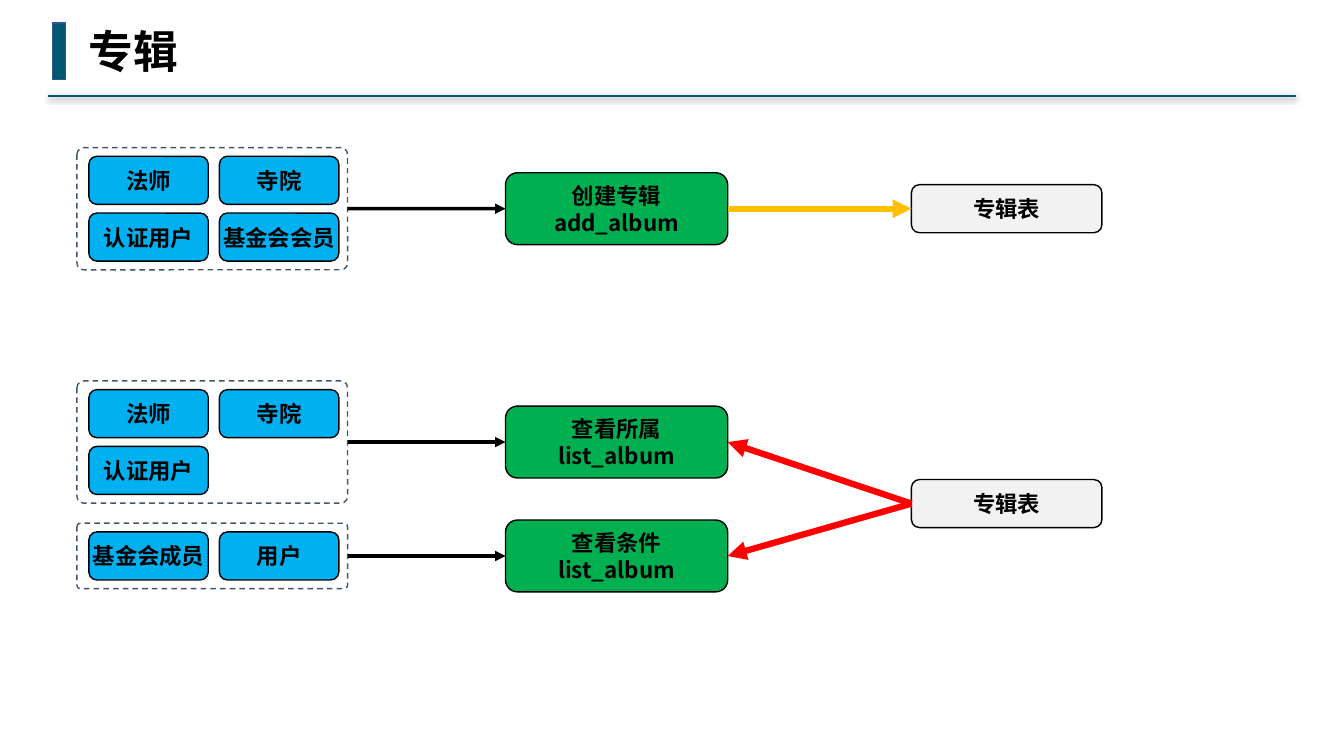
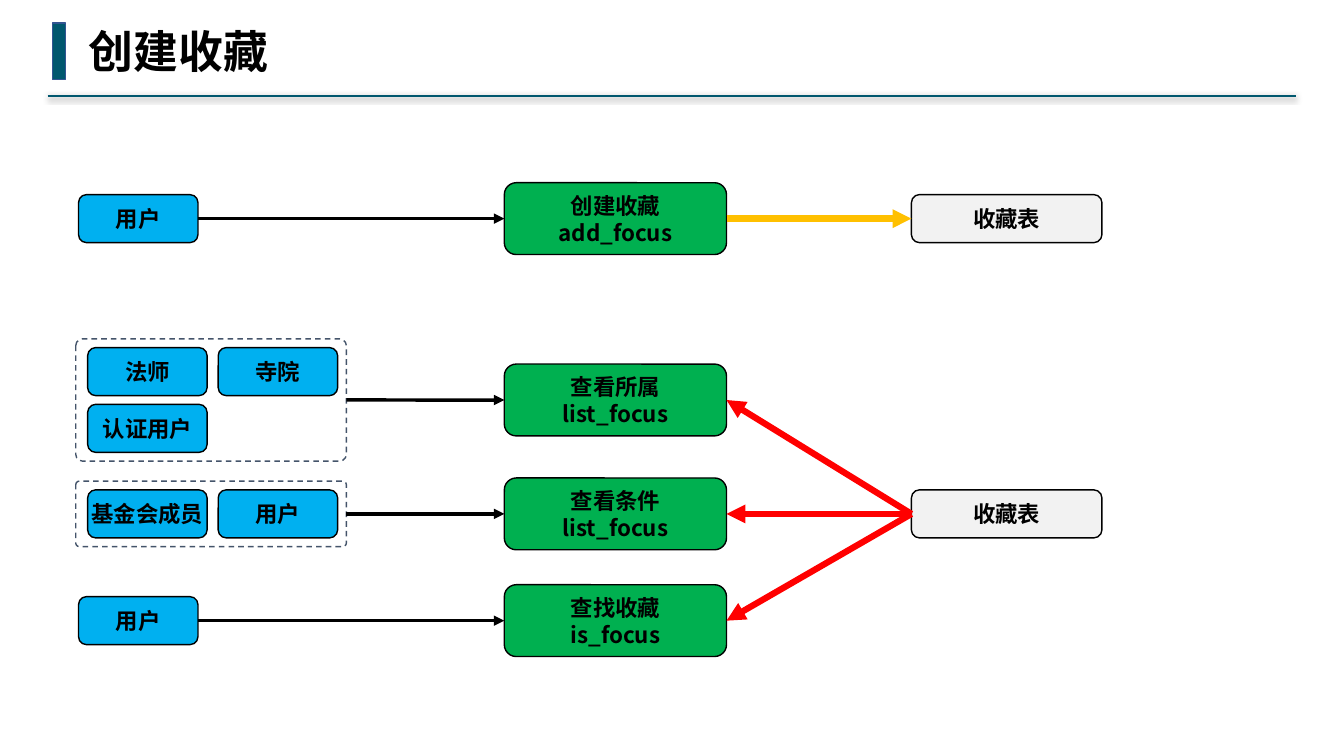
"""Build the two flow slides about albums and favourites."""
from dataclasses import dataclass

from lxml.etree import SubElement
from pptx import Presentation
from pptx.dml.color import RGBColor
from pptx.enum.dml import MSO_LINE
from pptx.enum.shapes import MSO_CONNECTOR, MSO_SHAPE
from pptx.enum.text import MSO_ANCHOR, MSO_AUTO_SIZE, PP_ALIGN
from pptx.oxml import parse_xml
from pptx.oxml.ns import nsdecls, qn
from pptx.shapes.autoshape import Shape
from pptx.shapes.connector import Connector
from pptx.slide import Slide
from pptx.text.text import TextFrame
from pptx.util import Cm, Pt

TEAL, NAVY, SLATE, BLACK = "00576E", "325491", "44546A", "000000"
BLUE, GREEN, GREY = "00B0F0", "00B050", "F2F2F2"
AMBER, RED = "FFC000", "FF0000"
FONT, TITLE_FONT = "Noto Sans CJK SC", "Noto Sans Mono"

USER_W, USER_H = 3.01, 1.21
COLUMN_STEP, ROW_STEP = 3.29, 1.43
FRAME_W, PAD_X, PAD_Y = 6.82, 0.3, 0.22
ACTION_DX, ACTION_W, ACTION_H = 10.8, 5.6, 1.81
TABLE_X, TABLE_W = 22.97, 4.8
LONE_USER_X = 1.98
LEFT_SITE, RIGHT_SITE = 1, 3


@dataclass(frozen=True)
class Flow:
    """Users who call one action, centred on height y in centimetres."""

    y: float
    users: tuple[str, ...]
    action: str


@dataclass(frozen=True)
class Page:
    """A slide with one creating flow and several viewing flows."""

    title: str
    left: float
    table: str
    create: Flow
    views: tuple[Flow, ...]
    view_table_y: float


PAGES = (
    Page("专辑", 1.94, "专辑表",
         Flow(5.26, ("法师", "寺院", "认证用户", "基金会会员"), "创建专辑\nadd_album"),
         (Flow(11.14, ("法师", "寺院", "认证用户"), "查看所属\nlist_album"),
          Flow(14.01, ("基金会成员", "用户"), "查看条件\nlist_album")),
         12.69),
    Page("创建收藏", 1.91, "收藏表",
         Flow(5.51, ("用户",), "创建收藏\nadd_focus"),
         (Flow(10.08, ("法师", "寺院", "认证用户"), "查看所属\nlist_focus"),
          Flow(12.95, ("基金会成员", "用户"), "查看条件\nlist_focus"),
          Flow(15.64, ("用户",), "查找收藏\nis_focus")),
         12.95),
)


def rgb(color: str) -> RGBColor:
    """Turn a hex string into a colour."""
    return RGBColor.from_string(color)


def format_text(tf: TextFrame, size: float, font: str, align: PP_ALIGN) -> None:
    """Give all text of a frame one bold style."""
    tf.word_wrap = False
    for p in tf.paragraphs:
        p.alignment = align
        for r in p.runs:
            r.font.size, r.font.bold, r.font.name = Pt(size), True, font
            r.font.color.rgb = rgb(BLACK)
            SubElement(r.font._element, qn("a:ea"), typeface=FONT)


def add_box(shapes, kind: MSO_SHAPE, x: float, y: float, w: float, h: float,
            fill: str | None, line: str) -> Shape:
    """Add a flat shape with a thin outline."""
    sp = shapes.add_shape(kind, Cm(x), Cm(y), Cm(w), Cm(h))
    sp.shadow.inherit = False
    if fill:
        sp.fill.solid()
        sp.fill.fore_color.rgb = rgb(fill)
    else:
        sp.fill.background()
    sp.line.color.rgb = rgb(line)
    sp.line.width = Pt(1)
    return sp


def add_node(shapes, text: str, x: float, middle: float, w: float,
             h: float, fill: str) -> Shape:
    """Add a rounded, labelled box centred on a height."""
    sp = add_box(shapes, MSO_SHAPE.ROUNDED_RECTANGLE, x, middle - h / 2, w, h,
                 fill, BLACK)
    tf = sp.text_frame
    tf.text = text
    tf.vertical_anchor = MSO_ANCHOR.MIDDLE
    tf.margin_left = tf.margin_right = tf.margin_top = tf.margin_bottom = Cm(0.1)
    format_text(tf, 16, FONT, PP_ALIGN.CENTER)
    return sp


def add_line(s: Slide, x1: float, y1: float, x2: float, y2: float,
             color: str, width: float) -> Connector:
    """Add a straight line without effects."""
    line = s.shapes.add_connector(MSO_CONNECTOR.STRAIGHT,
                                  Cm(x1), Cm(y1), Cm(x2), Cm(y2))
    line.line.color.rgb = rgb(color)
    line.line.width = Pt(width)
    SubElement(line._element.spPr, qn("a:effectLst"))
    return line


def add_arrow(s: Slide, start: Shape, start_site: int, end: Shape,
              end_site: int, color: str, width: float) -> None:
    """Join two shapes with an arrow."""
    arrow = add_line(s, 0, 0, 1, 1, color, width)
    arrow.begin_connect(start, start_site)
    arrow.end_connect(end, end_site)
    SubElement(arrow.line._get_or_add_ln(), qn("a:tailEnd"), type="triangle")


def add_header(s: Slide, title: str) -> None:
    """Add the title, its bar and the shadowed rule."""
    rule = add_line(s, 1.2, 2.42, 32.66, 2.42, TEAL, 1.5)
    rule._element.spPr.find(qn("a:effectLst")).append(parse_xml(
        f'<a:outerShdw {nsdecls("a")} blurRad="50800" dist="12700" dir="5400000" '
        'rotWithShape="0"><a:srgbClr val="000000"><a:alpha val="40000"/>'
        '</a:srgbClr></a:outerShdw>'))
    add_box(s.shapes, MSO_SHAPE.RECTANGLE, 1.32, 0.58, 0.33, 1.43, TEAL, NAVY)
    sp = s.shapes.title
    sp.left, sp.top = Cm(1.98), Cm(0.48)
    sp.width, sp.height = Cm(0.51 + 1.13 * len(title)), Cm(1.63)
    tf = sp.text_frame
    tf.text = title
    tf.vertical_anchor = MSO_ANCHOR.TOP
    tf.auto_size = MSO_AUTO_SIZE.SHAPE_TO_FIT_TEXT
    format_text(tf, 32, TITLE_FONT, PP_ALIGN.LEFT)


def add_users(s: Slide, flow: Flow, left: float) -> Shape:
    """Add one user, or a dashed frame of users in two columns."""
    if len(flow.users) == 1:
        return add_node(s.shapes, flow.users[0], LONE_USER_X, flow.y,
                        USER_W, USER_H, BLUE)
    rows = (len(flow.users) + 1) // 2
    height = 2 * PAD_Y + USER_H + (rows - 1) * ROW_STEP
    top = flow.y - height / 2
    shapes = s.shapes.add_group_shape().shapes
    for i, user in enumerate(flow.users):
        row, column = divmod(i, 2)
        add_node(shapes, user, left + PAD_X + column * COLUMN_STEP,
                 top + PAD_Y + USER_H / 2 + row * ROW_STEP, USER_W, USER_H, BLUE)
    frame = add_box(shapes, MSO_SHAPE.ROUNDED_RECTANGLE, left, top, FRAME_W,
                    height, None, SLATE)
    frame.adjustments[0] = 0.055
    frame.line.dash_style = MSO_LINE.DASH
    return frame


def add_flow(s: Slide, flow: Flow, left: float) -> Shape:
    """Add users with an arrow to their action and return the action."""
    users = add_users(s, flow, left)
    action = add_node(s.shapes, flow.action, left + ACTION_DX, flow.y,
                      ACTION_W, ACTION_H, GREEN)
    add_arrow(s, users, RIGHT_SITE, action, LEFT_SITE, BLACK, 2.5)
    return action


def add_table_node(s: Slide, name: str, y: float) -> Shape:
    """Add the box of a database table."""
    return add_node(s.shapes, name, TABLE_X, y, TABLE_W, USER_H, GREY)


def add_page(prs: Presentation, page: Page) -> None:
    """Add one whole slide."""
    s = prs.slides.add_slide(prs.slide_layouts[5])
    add_header(s, page.title)
    action = add_flow(s, page.create, page.left)
    table = add_table_node(s, page.table, page.create.y)
    add_arrow(s, action, RIGHT_SITE, table, LEFT_SITE, AMBER, 4.5)
    table = add_table_node(s, page.table, page.view_table_y)
    for flow in page.views:
        action = add_flow(s, flow, page.left)
        add_arrow(s, table, LEFT_SITE, action, RIGHT_SITE, RED, 4.5)


def main() -> None:
    """Build and save the presentation."""
    prs = Presentation()
    prs.slide_width, prs.slide_height = Cm(33.87), Cm(19.05)
    for page in PAGES:
        add_page(prs, page)
    prs.save("out.pptx")


main()
